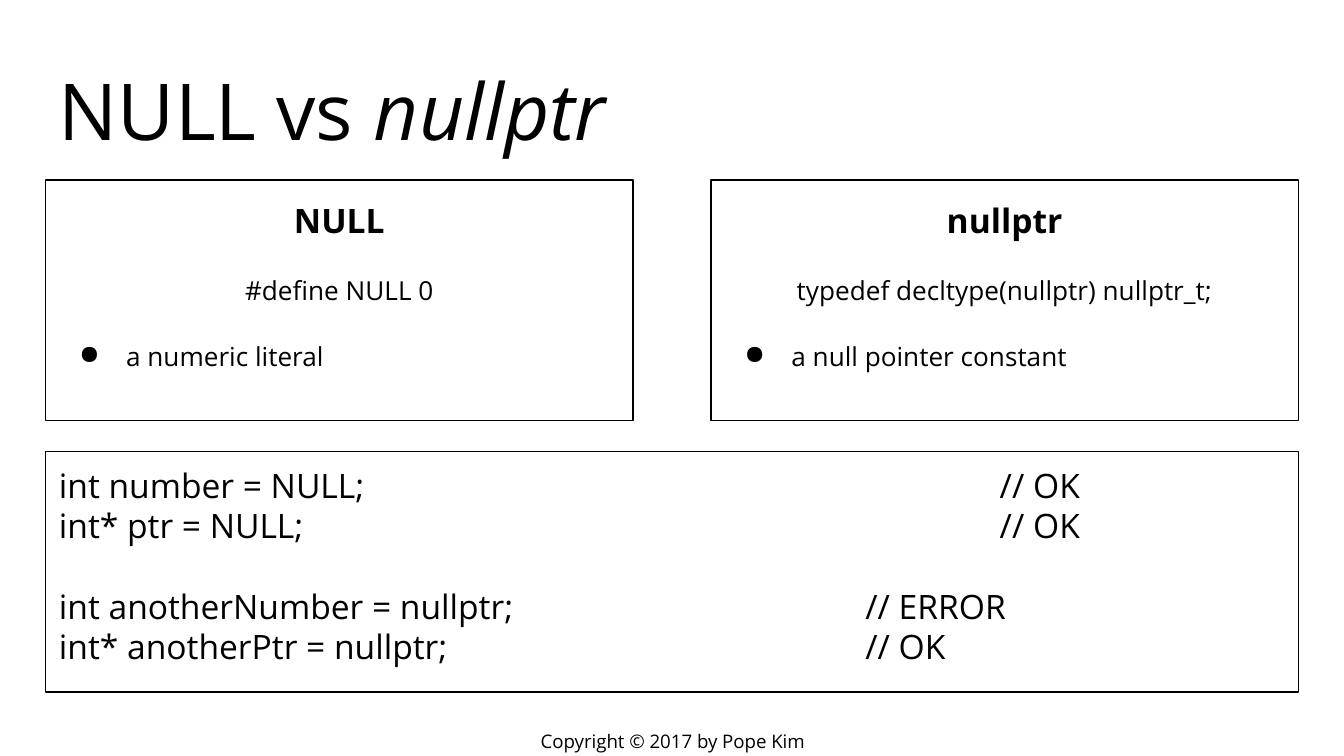
import pptx
import pptx.dml.color
import pptx.enum.shapes
import pptx.enum.text
import pptx.oxml.ns
import pptx.util
import lxml.etree
from dataclasses import dataclass

Inches = pptx.util.Inches
Pt = pptx.util.Pt
ALIGN = pptx.enum.text.PP_ALIGN
ANCHOR = pptx.enum.text.MSO_ANCHOR


@dataclass(frozen=True)
class Theme:
    font: str = "Open Sans"
    ink: str = "000000"
    paper: str = "FFFFFF"
    title: int = 42
    heading: int = 18
    detail: int = 14
    footer: int = 10
    border: float = 0.75
    inset: float = 0.1


THEME = Theme()


def color(value):
    return pptx.dml.color.RGBColor.from_string(value)


def add_xml(parent, tag, **attributes):
    return lxml.etree.SubElement(parent, pptx.oxml.ns.qn(tag), attributes)


def style(run, size, bold=False, italic=False):
    run.font.name = THEME.font
    run.font.size = Pt(size)
    run.font.color.rgb = color(THEME.ink)
    run.font.bold = bold
    run.font.italic = italic


def prepare(frame, anchor):
    frame.word_wrap = True
    frame.vertical_anchor = anchor
    frame.margin_left = frame.margin_right = Inches(THEME.inset)
    frame.margin_top = frame.margin_bottom = Inches(THEME.inset)
    return frame


def text_area(slide, box, anchor):
    area = slide.shapes.add_textbox(*map(Inches, box))
    return prepare(area.text_frame, anchor)


def outlined_panel(slide, box):
    panel = slide.shapes.add_shape(
        pptx.enum.shapes.MSO_SHAPE.RECTANGLE, *map(Inches, box))
    panel.shadow.inherit = False
    panel.fill.background()
    panel.line.color.rgb = color(THEME.ink)
    panel.line.width = Pt(THEME.border)
    return prepare(panel.text_frame, ANCHOR.TOP)


def add_title(slide, box, plain, emphasis):
    heading = text_area(slide, box, ANCHOR.BOTTOM).paragraphs[0]
    for words, italic in ((plain, False), (emphasis, True)):
        run = heading.add_run()
        run.text = words
        style(run, THEME.title, italic=italic)


def add_bullet(paragraph):
    properties = paragraph._p.get_or_add_pPr()
    properties.set("marL", str(Inches(0.5)))
    properties.set("indent", str(Inches(-0.35)))
    bullet_color = add_xml(properties, "a:buClr")
    add_xml(bullet_color, "a:srgbClr", val=THEME.ink)
    add_xml(properties, "a:buChar", char="●")


def add_definition(slide, box, term, declaration, meaning):
    frame = outlined_panel(slide, box)
    frame.text = "\n".join((term, declaration, meaning))
    sizes = (THEME.heading, THEME.detail, THEME.detail)
    for paragraph, size in zip(frame.paragraphs, sizes):
        paragraph.alignment = ALIGN.CENTER
        paragraph.line_spacing = 1.15
        paragraph.space_after = Pt(16)
        style(paragraph.runs[0], size, bold=size == THEME.heading)
    point = frame.paragraphs[-1]
    point.alignment = ALIGN.LEFT
    add_bullet(point)


def add_code(slide, box, groups):
    frame = outlined_panel(slide, box)
    rows = [(line, stop, index == 0 and group > 0)
            for group, (stop, lines) in enumerate(groups)
            for index, line in enumerate(lines)]
    frame.text = "\n".join(" \t".join(line) for line, _, _ in rows)
    for paragraph, (_, stop, starts_group) in zip(frame.paragraphs, rows):
        paragraph.alignment = ALIGN.LEFT
        if starts_group:
            paragraph.space_before = Pt(21.6)
        tabs = add_xml(paragraph._p.get_or_add_pPr(), "a:tabLst")
        add_xml(tabs, "a:tab", pos=str(Inches(stop)), algn="l")
        style(paragraph.runs[0], THEME.heading)


def add_footer(slide, box, notice):
    frame = text_area(slide, box, ANCHOR.MIDDLE)
    frame.text = notice
    frame.paragraphs[0].alignment = ALIGN.CENTER
    style(frame.paragraphs[0].runs[0], THEME.footer)


def add_comparison(slide, box, definitions, groups):
    left, top, width, height = box
    panel_height, panel_width = 1.79, 4.37
    step = width - panel_width
    for column, definition in enumerate(definitions):
        add_definition(slide, (left + column * step, top, panel_width, panel_height),
                       *definition)
    code_top = top + height - panel_height
    add_code(slide, (left, code_top, width, panel_height), groups)


deck = pptx.Presentation()
deck.slide_width, deck.slide_height = Inches(10), Inches(10 * 9 / 16)
slide = deck.slides.add_slide(deck.slide_layouts[6])
slide.background.fill.solid()
slide.background.fill.fore_color.rgb = color(THEME.paper)

add_footer(slide, (3.77, 5.41, 2.47, 0.21), "Copyright © 2017 by Pope Kim")
add_title(slide, (0.34, 0.35, 9.32, 0.91), "NULL vs ", "nullptr")
add_comparison(
    slide, (0.34, 1.34, 9.32, 3.81),
    [("NULL", "#define NULL 0", "a numeric literal"),
     ("nullptr", "typedef decltype(nullptr) nullptr_t;", "a null pointer constant")],
    [(7, [("int number = NULL;", "// OK"),
          ("int* ptr = NULL;", "// OK")]),
     (6, [("int anotherNumber = nullptr;", "// ERROR"),
          ("int* anotherPtr = nullptr;", "// OK")])])

deck.save("out.pptx")
